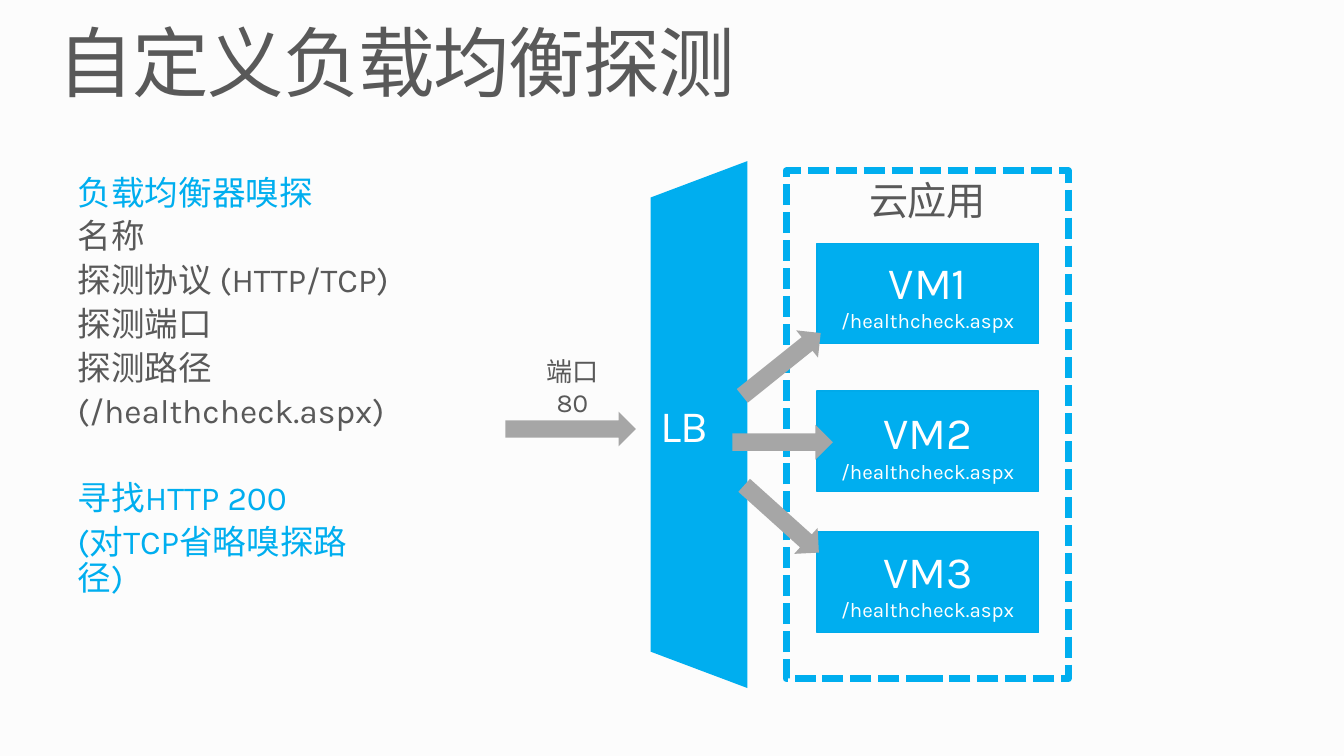
from dataclasses import dataclass
from typing import Optional

from pptx import Presentation
from pptx.dml.color import RGBColor
from pptx.enum.dml import MSO_LINE
from pptx.enum.shapes import MSO_SHAPE
from pptx.enum.text import MSO_ANCHOR, PP_ALIGN
from pptx.util import Cm, Pt

FONT = "Karla"
BACKGROUND = RGBColor(0xFC, 0xFC, 0xFC)
BLUE = RGBColor(0x00, 0xAE, 0xEF)
EDGE_BLUE = RGBColor(0x00, 0xAA, 0xEA)
DARK_GRAY = RGBColor(0x59, 0x59, 0x59)
ARROW_GRAY = RGBColor(0xA6, 0xA6, 0xA6)
WHITE = RGBColor(0xFF, 0xFF, 0xFF)

RECTANGLE = MSO_SHAPE.RECTANGLE
TRAPEZOID = MSO_SHAPE.TRAPEZOID
RIGHT_ARROW = MSO_SHAPE.RIGHT_ARROW
DASHED = MSO_LINE.SQUARE_DOT
TOP, MIDDLE = MSO_ANCHOR.TOP, MSO_ANCHOR.MIDDLE
LEFT, CENTER = PP_ALIGN.LEFT, PP_ALIGN.CENTER


@dataclass(frozen=True)
class Box:
    """Left, top, width and height in centimetres."""
    left: float
    top: float
    width: float
    height: float

    def lengths(self) -> tuple:
        return Cm(self.left), Cm(self.top), Cm(self.width), Cm(self.height)


@dataclass(frozen=True)
class Machine:
    name: str
    top: float
    label_top: float


@dataclass(frozen=True)
class Arrow:
    box: Box
    rotation: float = 0


@dataclass(frozen=True)
class ProbeLine:
    text: str
    color: RGBColor = DARK_GRAY
    space_before: float = 4


MACHINES = [
    Machine("VM1", 4.6, 4.88),
    Machine("VM2", 7.39, 7.72),
    Machine("VM3", 10.06, 10.34),
]
ARROWS = [
    Arrow(Box(9.55, 7.78, 2.47, 0.66)),
    Arrow(Box(13.82, 6.56, 1.9, 0.66), 321.3),
    Arrow(Box(13.84, 8.03, 1.9, 0.66)),
    Arrow(Box(13.82, 9.48, 1.9, 0.66), 42),
]
PROBE_LINES = [
    ProbeLine("负载均衡器嗅探", BLUE, 0),
    ProbeLine("名称"),
    ProbeLine("探测协议 (HTTP/TCP)"),
    ProbeLine("探测端口"),
    ProbeLine("探测路径"),
    ProbeLine("(/healthcheck.aspx)"),
    ProbeLine("寻找HTTP 200", BLUE, 27),
    ProbeLine("(对TCP省略嗅探路径)", BLUE),
]


def set_frame(frame, anchor, horizontal: float = 0, vertical: float = 0) -> None:
    frame.word_wrap = True
    frame.vertical_anchor = anchor
    frame.margin_left = frame.margin_right = Cm(horizontal)
    frame.margin_top = frame.margin_bottom = Cm(vertical)


def format_paragraph(paragraph, size: float, color: RGBColor, alignment,
                     tracking: float = 0) -> None:
    """Format every run; tracking is the letter spacing in points."""
    paragraph.alignment = alignment
    for run in paragraph.runs:
        run.font.name = FONT
        run.font.size = Pt(size)
        run.font.color.rgb = color
        if tracking:
            run.font._element.set("spc", str(round(tracking * 100)))


def add_shape(slide, kind, box: Box, fill: Optional[RGBColor] = None,
              line: Optional[RGBColor] = None, line_width: float = 0.75):
    shape = slide.shapes.add_shape(kind, *box.lengths())
    shape.shadow.inherit = False
    if fill is None:
        shape.fill.background()
    else:
        shape.fill.solid()
        shape.fill.fore_color.rgb = fill
    if line is None:
        shape.line.fill.background()
    else:
        shape.line.color.rgb = line
        shape.line.width = Pt(line_width)
    return shape


def add_title(slide) -> None:
    title = slide.shapes.title
    title.left, title.top, title.width, title.height = Box(1.09, 0.48, 23.24, 1.57).lengths()
    frame = title.text_frame
    frame.text = "自定义负载均衡探测"
    set_frame(frame, TOP)
    frame.paragraphs[0].line_spacing = 0.9
    format_paragraph(frame.paragraphs[0], 41, DARK_GRAY, LEFT, -0.8)


def add_cloud(slide) -> None:
    cloud = add_shape(slide, RECTANGLE, Box(14.86, 3.23, 5.33, 9.6), line=BLUE, line_width=3.75)
    cloud.line.dash_style = DASHED
    cloud.text_frame.text = "云应用"
    set_frame(cloud.text_frame, TOP, 0.1, 0.1)
    format_paragraph(cloud.text_frame.paragraphs[0], 21, DARK_GRAY, CENTER, -0.4)


def add_machine(slide, machine: Machine) -> None:
    add_shape(slide, RECTANGLE, Box(15.44, machine.top, 4.19, 1.9), BLUE, EDGE_BLUE)
    label = slide.shapes.add_textbox(*Box(15.72, machine.label_top, 3.63, 1.35).lengths())
    frame = label.text_frame
    frame.text = f"{machine.name}\n/healthcheck.aspx"
    set_frame(frame, MIDDLE, 0, 0.13)
    for paragraph, size in zip(frame.paragraphs, (24, 11)):
        format_paragraph(paragraph, size, WHITE, CENTER)


def add_load_balancer(slide) -> None:
    balancer = add_shape(slide, TRAPEZOID, Box(8.23, 7.11, 9.96, 1.83), BLUE)
    balancer.rotation = 270
    balancer.adjustments[0] = 0.376
    frame = balancer.text_frame
    frame.text = "LB"
    set_frame(frame, MIDDLE, 0.1, 0.1)
    # Vertical text turns the letters upright in the rotated shape.
    frame._txBody.bodyPr.set("vert", "vert")
    format_paragraph(frame.paragraphs[0], 24, WHITE, LEFT, -0.4)


def add_probe_list(slide) -> None:
    frame = slide.shapes.add_textbox(*Box(1.47, 3.33, 5.94, 9.2).lengths()).text_frame
    frame.text = "\n".join(line.text for line in PROBE_LINES)
    set_frame(frame, TOP)
    for paragraph, line in zip(frame.paragraphs, PROBE_LINES):
        paragraph.line_spacing = 0.9
        paragraph.space_before = Pt(line.space_before)
        format_paragraph(paragraph, 18, line.color, LEFT)


def add_arrow(slide, arrow: Arrow) -> None:
    shape = add_shape(slide, RIGHT_ARROW, arrow.box, ARROW_GRAY)
    shape.rotation = arrow.rotation


def add_port_label(slide) -> None:
    frame = slide.shapes.add_textbox(*Box(9.93, 6.88, 1.78, 0.86).lengths()).text_frame
    frame.text = "端口80"
    set_frame(frame, MIDDLE, 0.13, 0.13)
    format_paragraph(frame.paragraphs[0], 14, DARK_GRAY, CENTER)


def main() -> None:
    presentation = Presentation()
    presentation.slide_width = Cm(25.4)
    presentation.slide_height = Cm(14.29)
    slide = presentation.slides.add_slide(presentation.slide_layouts.get_by_name("Title Only"))
    slide.background.fill.solid()
    slide.background.fill.fore_color.rgb = BACKGROUND

    add_title(slide)
    add_cloud(slide)
    for machine in MACHINES:
        add_machine(slide, machine)
    add_load_balancer(slide)
    add_probe_list(slide)
    for arrow in ARROWS:
        add_arrow(slide, arrow)
    add_port_label(slide)
    presentation.save("out.pptx")


if __name__ == "__main__":
    main()
